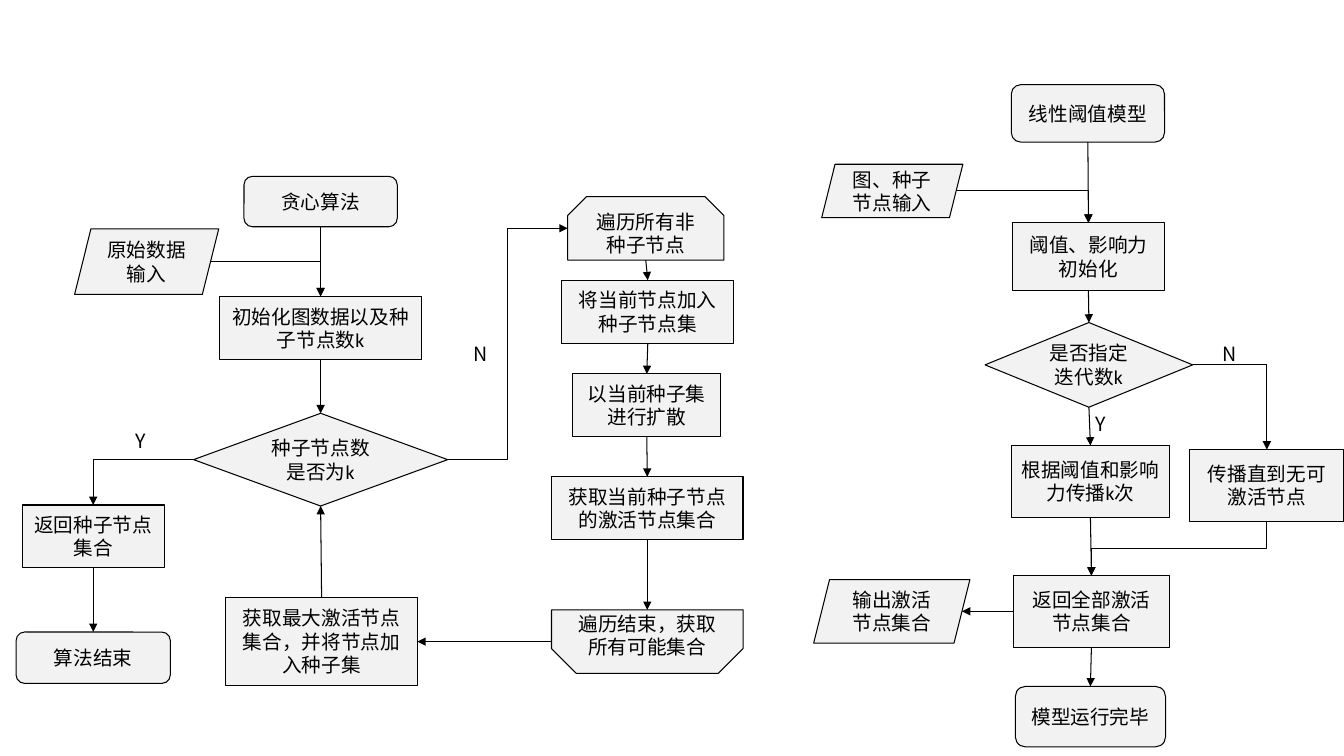
from dataclasses import dataclass
from enum import Enum, IntEnum

import pptx
import pptx.dml.color
import pptx.enum.shapes
import pptx.enum.text
import pptx.oxml
import pptx.oxml.ns
import pptx.shapes.autoshape
import pptx.shapes.connector
import pptx.slide
import pptx.text.text
import pptx.util

PX = 9144  # EMU in one px, 100 px to the inch
COLORS = {"fill": "F2F2F2", "ink": "000000"}
LATIN, CJK = "Calibri", "Noto Sans CJK SC"
Shape = pptx.enum.shapes.MSO_SHAPE
Connector = pptx.enum.shapes.MSO_CONNECTOR
RECT, ROUND, DIAMOND = Shape.RECTANGLE, Shape.ROUNDED_RECTANGLE, Shape.DIAMOND
DATA, LOOP = Shape.PARALLELOGRAM, Shape.SNIP_2_SAME_RECTANGLE
JOINABLE = (RECT, ROUND, DIAMOND)


class Side(IntEnum):
    TOP = 0
    LEFT = 1
    BOTTOM = 2
    RIGHT = 3


class Route(Enum):
    STRAIGHT = "straight"
    CORNER = "one bend"
    STEP = "two bends, leaving sideways"
    DROP = "two bends, leaving downwards"


@dataclass(frozen=True)
class Run:
    text: str
    font: str = LATIN


@dataclass(frozen=True)
class Node:
    key: str
    kind: Shape
    box: tuple[int, int, int, int]
    runs: tuple[Run, ...]
    adjustments: tuple[float, ...] = ()


@dataclass(frozen=True)
class Link:
    begin: str
    end: str
    begin_side: Side = Side.BOTTOM
    end_side: Side = Side.TOP
    route: Route = Route.STRAIGHT


@dataclass(frozen=True)
class Label:
    text: str
    box: tuple[int, int, int, int]


NODES = [
    Node("greedy", ROUND, (242, 175, 152, 50), (Run("贪心算法"),)),
    Node("raw data", DATA, (74, 227, 143, 65), (Run("原始数据输入"),)),
    Node("init graph", RECT, (218, 294, 200, 63), (Run("初始化图数据以及种子节点数k"),)),
    Node("seeds = k", DIAMOND, (192, 410, 252, 92), (Run("种子节点数是否为k"),)),
    Node("return seeds", RECT, (22, 501, 141, 62), (Run("返回种子节点集合"),)),
    Node("greedy end", ROUND, (16, 627, 153, 51), (Run("算法结束"),)),
    Node("loop start", LOOP, (563, 195, 155, 63), (Run("遍历所有非种子节点"),), (0.3, 0)),
    Node("add node", RECT, (557, 278, 171, 63), (Run("将当前节点加入种子节点集"),)),
    Node("spread", RECT, (568, 371, 147, 62), (Run("以当前种子集进行扩散"),)),
    Node("get active", RECT, (547, 473, 190, 62), (Run("获取当前种子节点的激活节点集合"),)),
    Node("loop end", LOOP, (547, 605, 190, 63), (Run("遍历结束，获取所有可能集合"),), (0, 0.39)),
    Node("get max", RECT, (224, 593, 190, 87), (Run("获取最大激活节点集合，并将节点加入种子集"),)),
    Node("threshold", ROUND, (1003, 84, 152, 57), (Run("线性阈值模型"),)),
    Node("graph input", DATA, (815, 163, 140, 53), (Run("图、种子节点输入"),)),
    Node("init model", RECT, (1004, 221, 151, 67), (Run("阈值、影响力初始化"),)),
    Node("k given", DIAMOND, (977, 320, 206, 84), (Run("是否指定迭代数k"),)),
    Node("run k times", RECT, (1003, 442, 157, 71), (Run("根据阈值和影响力传播k次"),)),
    Node("run to end", RECT, (1180, 446, 153, 71), (Run("传播"), Run("直到无可激活节点", CJK))),
    Node("return all", RECT, (1005, 571, 155, 71), (Run("返回全部激活节点集合", CJK),)),
    Node("output", DATA, (807, 575, 155, 63), (Run("输出激活节点集合", CJK),)),
    Node("model end", ROUND, (1007, 681, 149, 60), (Run("模型运行完毕"),)),
]
LINKS = [
    Link("greedy", "init graph"),
    Link("raw data", "init graph", Side.RIGHT, Side.TOP, Route.CORNER),
    Link("init graph", "seeds = k"),
    Link("seeds = k", "return seeds", Side.LEFT, Side.TOP, Route.CORNER),
    Link("return seeds", "greedy end"),
    Link("seeds = k", "loop start", Side.RIGHT, Side.LEFT, Route.STEP),
    Link("loop start", "add node"),
    Link("add node", "spread"),
    Link("spread", "get active"),
    Link("get active", "loop end"),
    Link("loop end", "get max", Side.LEFT, Side.RIGHT),
    Link("get max", "seeds = k", Side.TOP, Side.BOTTOM),
    Link("threshold", "init model"),
    Link("graph input", "init model", Side.RIGHT, Side.TOP, Route.CORNER),
    Link("init model", "k given"),
    Link("k given", "run k times"),
    Link("k given", "run to end", Side.RIGHT, Side.TOP, Route.CORNER),
    Link("run k times", "return all"),
    Link("run to end", "return all", route=Route.DROP),
    Link("return all", "output", Side.LEFT, Side.RIGHT),
    Link("return all", "model end"),
]
LABELS = [
    Label("Y", (125, 421, 32, 34)),
    Label("N", (460, 334, 35, 34)),
    Label("N", (1203, 334, 29, 34)),
    Label("Y", (1077, 404, 26, 34)),
]


def rgb(name: str) -> pptx.dml.color.RGBColor:
    return pptx.dml.color.RGBColor.from_string(COLORS[name])


def add_run(p: pptx.text.text._Paragraph, run: Run) -> None:
    r = p.add_run()
    r.text = run.text
    r.font.name = run.font
    r.font.size = pptx.util.Pt(14)
    r.font.color.rgb = rgb("ink")


def add_node(s: pptx.slide.Slide, node: Node) -> pptx.shapes.autoshape.Shape:
    sp = s.shapes.add_shape(node.kind, *(v * PX for v in node.box))
    sp.shadow.inherit = False
    for i, value in enumerate(node.adjustments):
        sp.adjustments[i] = value
    sp.fill.solid()
    sp.fill.fore_color.rgb = rgb("fill")
    sp.line.color.rgb = rgb("ink")
    sp.line.width = pptx.util.Pt(0.75)
    tf = sp.text_frame
    tf.word_wrap = True
    tf.vertical_anchor = pptx.enum.text.MSO_ANCHOR.MIDDLE
    p = tf.paragraphs[0]
    p.alignment = pptx.enum.text.PP_ALIGN.CENTER
    for run in node.runs:
        add_run(p, run)
    return sp


def anchor(sp: pptx.shapes.autoshape.Shape, side: Side) -> tuple[int, int]:
    """Middle of a side; the slanted sides of a data box lie further in."""
    inset = sp.height // 8 if sp.auto_shape_type == DATA else 0
    mid_x, mid_y = sp.left + sp.width // 2, sp.top + sp.height // 2
    return {
        Side.TOP: (mid_x, sp.top),
        Side.LEFT: (sp.left + inset, mid_y),
        Side.BOTTOM: (mid_x, sp.top + sp.height),
        Side.RIGHT: (sp.left + sp.width - inset, mid_y),
    }[side]


def style_arrow(cx: pptx.shapes.connector.Connector) -> None:
    cx.line.color.rgb = rgb("ink")
    cx.line.width = pptx.util.Pt(0.75)
    ns = pptx.oxml.ns.nsdecls("a")
    cx.line._get_or_add_ln().append(pptx.oxml.parse_xml(f'<a:tailEnd {ns} type="triangle"/>'))
    cx._element.spPr.append(pptx.oxml.parse_xml(f"<a:effectLst {ns}/>"))


def add_link(s: pptx.slide.Slide, link: Link, shapes: dict[str, pptx.shapes.autoshape.Shape]) -> None:
    begin, end = shapes[link.begin], shapes[link.end]
    x1, y1 = anchor(begin, link.begin_side)
    x2, y2 = anchor(end, link.end_side)
    if link.route is Route.DROP:  # the box is laid flat, then turned a quarter
        mid_x, mid_y, half_w, half_h = (x1 + x2) // 2, (y1 + y2) // 2, (y2 - y1) // 2, (x1 - x2) // 2
        x1, y1, x2, y2 = mid_x - half_w, mid_y - half_h, mid_x + half_w, mid_y + half_h
    kind = Connector.STRAIGHT if link.route is Route.STRAIGHT else Connector.ELBOW
    cx = s.shapes.add_connector(kind, x1, y1, x2, y2)
    spPr = cx._element.spPr
    if link.route is Route.DROP:
        spPr.xfrm.set("rot", str(90 * 60000))
    elif link.route is Route.CORNER:
        spPr.find(pptx.oxml.ns.qn("a:prstGeom")).set("prst", "bentConnector2")
    elif link.route is Route.STRAIGHT:
        if begin.auto_shape_type in JOINABLE:
            cx.begin_connect(begin, link.begin_side)
        if end.auto_shape_type in JOINABLE:
            cx.end_connect(end, link.end_side)
    style_arrow(cx)


def add_label(s: pptx.slide.Slide, label: Label) -> None:
    tf = s.shapes.add_textbox(*(v * PX for v in label.box)).text_frame
    tf.word_wrap = True
    add_run(tf.paragraphs[0], Run(label.text, CJK))


def main() -> None:
    prs = pptx.Presentation()
    prs.slide_width, prs.slide_height = 1333 * PX, 750 * PX
    s = prs.slides.add_slide(prs.slide_layouts[6])
    shapes = {node.key: add_node(s, node) for node in NODES}
    for link in LINKS:
        add_link(s, link, shapes)
    for label in LABELS:
        add_label(s, label)
    prs.save("out.pptx")


if __name__ == "__main__":
    main()
